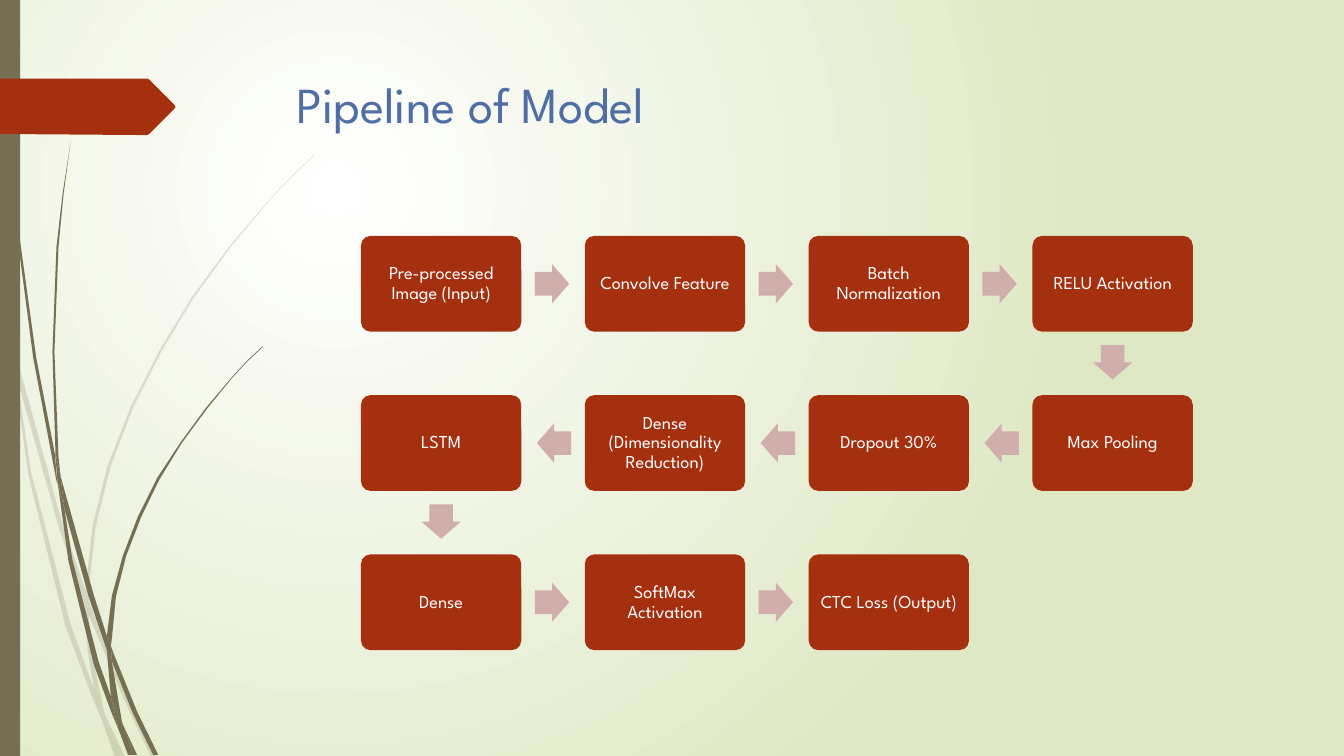
from itertools import pairwise

from lxml.etree import SubElement
from pptx import Presentation
from pptx.dml.color import RGBColor as Rgb
from pptx.enum.shapes import MSO_SHAPE as Preset
from pptx.enum.text import MSO_ANCHOR as Anchor, PP_ALIGN as Align
from pptx.oxml.ns import qn
from pptx.util import Inches, Pt

COLORS = {
    "white": "FFFFFF",
    "meadow": "DFE8C4",
    "stem": "766F54",
    "brick": "A53010",
    "arrow": "CFAEAB",
    "title": "4F6EA6",
}

PALE_GRASS = [
    [(11, 350), (9, 322), (0, 282), (0, 299), (10, 344)],
    [(58, 522), (84, 599), (85, 586), (62, 520), (14, 345), (17, 376)],
    [(92, 607), (88, 596), (88, 610), (123, 694), (150, 751), (155, 751), (127, 692)],
    [(119, 751), (124, 751), (105, 711)],
    [(93, 683), (70, 619), (31, 469), (17, 376), (11, 350), (28, 470), (65, 621),
     (92, 693), (101, 714), (99, 707)],
    [(84, 599), (87, 646), (93, 683), (96, 692), (105, 711), (103, 706), (91, 646),
     (88, 610), (88, 608)],
    [(88, 584), (95, 522), (110, 462), (132, 405), (160, 349), (192, 296), (229, 245),
     (268, 198), (290, 175), (312, 154), (312, 153), (289, 175), (268, 197), (228, 244),
     (190, 295), (158, 348), (130, 403), (107, 461), (92, 521), (85, 584), (85, 586),
     (88, 596)],
    [(101, 714), (114, 751), (119, 751)],
    [(88, 608), (88, 610), (88, 596), (85, 586), (84, 599)],
    [(96, 692), (93, 683), (99, 707), (101, 714), (119, 751), (105, 711)],
]
DARK_GRASS = [
    [(7, 110), (17, 233), (33, 355), (56, 477), (57, 481), (55, 457), (55, 453),
     (36, 355), (19, 232), (8, 109), (5, 48), (4, 0), (3, 0), (4, 48)],
    [(88, 592), (106, 645), (106, 633), (106, 631), (93, 590), (60, 472), (64, 505)],
    [(113, 649), (110, 641), (111, 656), (132, 708), (152, 749), (157, 749), (136, 706)],
    [(110, 691), (98, 657), (72, 556), (64, 505), (57, 477), (68, 557), (93, 659),
     (111, 708), (117, 722), (116, 717)],
    [(60, 472), (58, 453), (54, 349), (58, 245), (63, 193), (70, 141), (62, 193),
     (56, 245), (52, 349), (55, 449)],
    [(133, 749), (136, 749), (122, 719)],
    [(57, 477), (64, 505), (60, 472), (55, 449), (55, 453)],
    [(111, 633), (115, 592), (125, 552), (140, 513), (158, 476), (180, 440), (205, 406),
     (231, 374), (245, 359), (261, 344), (260, 344), (245, 358), (231, 373), (204, 405),
     (179, 439), (156, 474), (137, 512), (122, 551), (111, 591), (106, 631), (110, 641)],
    [(117, 722), (127, 749), (131, 749)],
    [(106, 645), (110, 691), (116, 706), (122, 719), (121, 716), (111, 656), (109, 651)],
    [(106, 645), (109, 651), (111, 656), (110, 641), (106, 631), (106, 633)],
    [(116, 706), (110, 691), (116, 717), (117, 722), (130, 749), (133, 749), (122, 719)],
]
TITLE_TAG = [(0, 78), (146, 78), (148, 79), (173, 104), (174, 106), (173, 108),
             (148, 133), (146, 134), (136, 134), (0, 133)]

STAGES = [
    "Pre-processed Image (Input)", "Convolve Feature", "Batch Normalization",
    "RELU Activation", "Max Pooling", "Dropout 30%",
    "Dense (Dimensionality Reduction)", "LSTM", "Dense", "SoftMax Activation",
    "CTC Loss (Output)",
]
COLUMNS = 4
GRID_LEFT, GRID_TOP = 3.58, 2.34
PITCH_X, PITCH_Y = 2.22, 1.58
STAGE_W, STAGE_H = 1.59, 0.95
ARROW_L, ARROW_H = 0.34, 0.39
ARROW_SETBACK = 0.01


class PipelineSlide:
    font_name = "League Spartan"

    def __init__(self, slide):
        self.slide = slide
        self.shapes = slide.shapes

    def radial_background(self, center, edge):
        fill = self.slide.background.fill
        fill.gradient()
        for stop, color in zip(fill.gradient_stops, (center, edge)):
            stop.color.rgb = Rgb.from_string(COLORS[color])
        gradient = self.slide.element.find(".//" + qn("a:gradFill"))
        gradient.remove(gradient.find(qn("a:lin")))
        circle = SubElement(gradient, qn("a:path"), {"path": "circle"})
        SubElement(circle, qn("a:fillToRect"), l="50000", t="50000", r="100000", b="100000")

    def paint(self, shape, color, opacity=100):
        shape.shadow.inherit = False
        shape.fill.solid()
        shape.fill.fore_color.rgb = Rgb.from_string(COLORS[color])
        shape.line.fill.background()
        if opacity < 100:
            tint = shape.element.spPr.find(".//" + qn("a:srgbClr"))
            SubElement(tint, qn("a:alpha"), val=str(opacity * 1000))

    def outline(self, points, color, opacity=100):
        builder = self.shapes.build_freeform(*points[0], scale=Inches(0.01))
        builder.add_line_segments(points[1:], close=True)
        self.paint(builder.convert_to_shape(), color, opacity)

    def preset(self, kind, left, top, width, height, color, adjustments=()):
        shape = self.shapes.add_shape(
            kind, Inches(left), Inches(top), Inches(width), Inches(height))
        for index, value in enumerate(adjustments):
            shape.adjustments[index] = value
        self.paint(shape, color)
        return shape

    def set_text(self, frame, text, size, color):
        frame.word_wrap = True
        line = frame.paragraphs[0]
        line.text = text
        line.font.name = self.font_name
        line.font.size = Pt(size)
        line.font.color.rgb = Rgb.from_string(COLORS[color])
        return line

    def title(self, text):
        heading = self.shapes.add_textbox(
            Inches(2.84), Inches(0.68), Inches(9.75), Inches(1.4))
        self.set_text(heading.text_frame, text, 36, "title")

    def stage(self, text, left, top):
        box = self.preset(
            Preset.ROUNDED_RECTANGLE, left, top, STAGE_W, STAGE_H, "brick", [0.1])
        frame = box.text_frame
        frame.margin_left = frame.margin_right = Inches(0.08)
        frame.margin_top = frame.margin_bottom = Inches(0.08)
        frame.vertical_anchor = Anchor.MIDDLE
        line = self.set_text(frame, text, 13, "white")
        line.alignment = Align.CENTER
        line.line_spacing = 0.9

    def flow_arrow(self, start, end):
        step_x = (end[0] > start[0]) - (end[0] < start[0])
        step_y = (end[1] > start[1]) - (end[1] < start[1])
        center_x = (start[0] + end[0] + STAGE_W) / 2 - ARROW_SETBACK * step_x
        center_y = (start[1] + end[1] + STAGE_H) / 2 - ARROW_SETBACK * step_y
        arrow = self.preset(
            Preset.RIGHT_ARROW, center_x - ARROW_L / 2, center_y - ARROW_H / 2,
            ARROW_L, ARROW_H, "arrow", [0.6, 0.5])
        arrow.rotation = 90 if step_y else 90 * (1 - step_x)


def stage_corner(index):
    row, column = divmod(index, COLUMNS)
    if row % 2:
        column = COLUMNS - 1 - column
    return GRID_LEFT + column * PITCH_X, GRID_TOP + row * PITCH_Y


def main():
    deck = Presentation()
    deck.slide_width, deck.slide_height = Inches(13.33), Inches(7.5)
    page = PipelineSlide(deck.slides.add_slide(deck.slide_layouts[6]))
    page.radial_background("white", "meadow")
    for blade in PALE_GRASS:
        page.outline(blade, "stem", opacity=20)
    for blade in DARK_GRASS:
        page.outline(blade, "stem")
    page.preset(Preset.RECTANGLE, 0, 0, 0.2, 7.5, "stem")
    page.outline(TITLE_TAG, "brick")
    page.title("Pipeline of Model")

    corners = [stage_corner(index) for index in range(len(STAGES))]
    for text, corner in zip(STAGES, corners):
        page.stage(text, *corner)
    for start, end in pairwise(corners):
        page.flow_arrow(start, end)
    deck.save("out.pptx")


if __name__ == "__main__":
    main()
